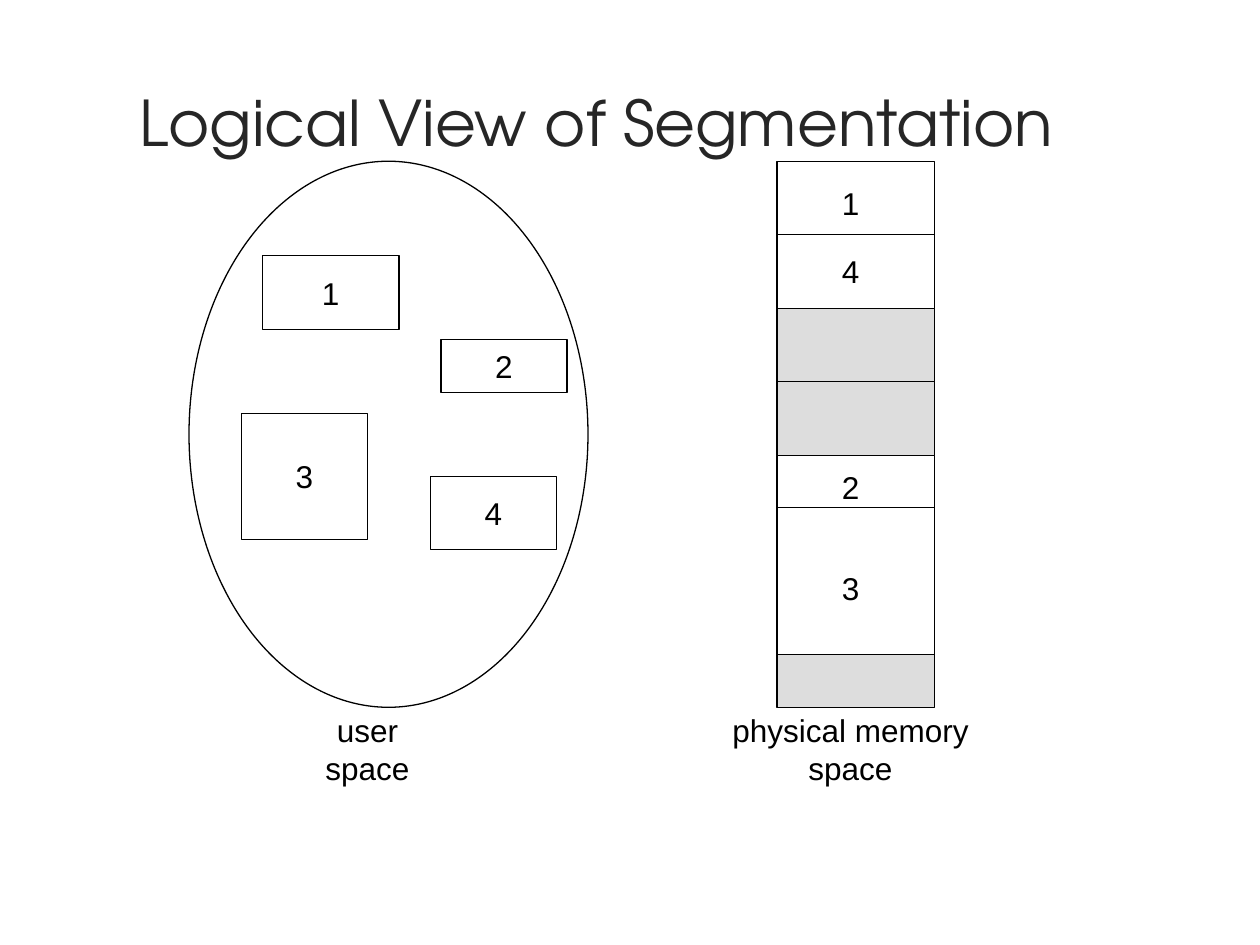
from dataclasses import dataclass

from lxml.etree import SubElement
from pptx import Presentation
from pptx.dml.color import RGBColor
from pptx.enum.shapes import MSO_CONNECTOR, MSO_SHAPE
from pptx.enum.text import MSO_ANCHOR, PP_ALIGN
from pptx.oxml.ns import qn
from pptx.util import Inches, Pt


@dataclass(frozen=True)
class Theme:
    ink: RGBColor = RGBColor(0x00, 0x00, 0x00)
    title_ink: RGBColor = RGBColor(0x26, 0x26, 0x26)
    paper: RGBColor = RGBColor(0xFF, 0xFF, 0xFF)
    free: RGBColor = RGBColor(0xDD, 0xDD, 0xDD)
    title_font: str = "TeX Gyre Adventor"
    body_font: str = "Arial"
    title_size: int = 36
    body_size: int = 18
    line_width: float = 0.75


class Diagram:
    """Grid of 1/12 inch cells; row 0 is the top of both memory spaces."""

    CELL = 1 / 12
    TOP = 1.28

    def __init__(self, slide, theme):
        self.slide = slide
        self.theme = theme

    def x(self, column):
        return Inches(column * self.CELL)

    def y(self, row):
        return Inches(self.TOP + row * self.CELL)

    def frame(self, column, row, columns, rows):
        return self.x(column), self.y(row), self.x(columns), self.x(rows)

    def set_text(self, text_frame, text, font, size, color, align=PP_ALIGN.CENTER):
        paragraph = text_frame.paragraphs[0]
        paragraph.text = text
        paragraph.alignment = align
        paragraph.font.name = font
        paragraph.font.size = Pt(size)
        paragraph.font.color.rgb = color
        return paragraph

    def set_body_text(self, text_frame, text):
        text_frame.word_wrap = False
        text_frame.vertical_anchor = MSO_ANCHOR.MIDDLE
        self.set_text(text_frame, text, self.theme.body_font,
                      self.theme.body_size, self.theme.ink)

    def title(self, text, column, row, columns, rows):
        box = self.slide.shapes.add_textbox(*self.frame(column, row, columns, rows))
        box.text_frame.word_wrap = True
        paragraph = self.set_text(box.text_frame, text, self.theme.title_font,
                                  self.theme.title_size, self.theme.title_ink, PP_ALIGN.LEFT)
        paragraph.line_spacing = 0.9

    def block(self, column, row, columns, rows, text="", fill=None, kind=MSO_SHAPE.RECTANGLE):
        shape = self.slide.shapes.add_shape(kind, *self.frame(column, row, columns, rows))
        shape.shadow.inherit = False
        shape.fill.solid()
        shape.fill.fore_color.rgb = fill or self.theme.paper
        shape.line.color.rgb = self.theme.ink
        shape.line.width = Pt(self.theme.line_width)
        if text:
            self.set_body_text(shape.text_frame, text)

    def divider(self, column, row, columns):
        line = self.slide.shapes.add_connector(
            MSO_CONNECTOR.STRAIGHT, self.x(column), self.y(row),
            self.x(column + columns), self.y(row))
        line.line.color.rgb = self.theme.ink
        line.line.width = Pt(self.theme.line_width)
        SubElement(line._element.spPr, qn("a:effectLst"))

    def label(self, text, center_column, center_row, columns, rows=4.8):
        box = self.slide.shapes.add_textbox(*self.frame(
            center_column - columns / 2, center_row - rows / 2, columns, rows))
        self.set_body_text(box.text_frame, text)


def main():
    theme = Theme()
    presentation = Presentation()
    presentation.slide_width, presentation.slide_height = Inches(10), Inches(7.5)
    slide = presentation.slides.add_slide(presentation.slide_layouts[6])
    diagram = Diagram(slide, theme)

    diagram.title("Logical View of Segmentation", 12.1, -7.2, 99.8, 16.8)

    # User space: segments scattered in an ellipse
    diagram.block(18, 0, 38, 52, kind=MSO_SHAPE.OVAL)
    for text, column, row, columns, rows in (
        ("1", 25, 9, 13, 7),
        ("3", 23, 24, 12, 12),
        ("2", 42, 17, 12, 5),
        ("4", 41, 30, 12, 7),
    ):
        diagram.block(column, row, columns, rows, text)

    # Physical memory: used and free areas stacked from the top
    memory_column, memory_width = 74, 15
    row = 0
    for rows, fill in ((14, theme.paper), (14, theme.free),
                       (19, theme.paper), (5, theme.free)):
        diagram.block(memory_column, row, memory_width, rows, fill=fill)
        row += rows
    for row in (7, 21, 33):
        diagram.divider(memory_column, row, memory_width)
    for text, row in (("1", 4), ("4", 10.4), ("2", 31), ("3", 40.6)):
        diagram.label(text, 81, row, 4)

    # Captions
    diagram.label("user space", 35, 56, 17)
    diagram.label("physical memory space", 81, 56, 33.7)

    presentation.save("out.pptx")


if __name__ == "__main__":
    main()
